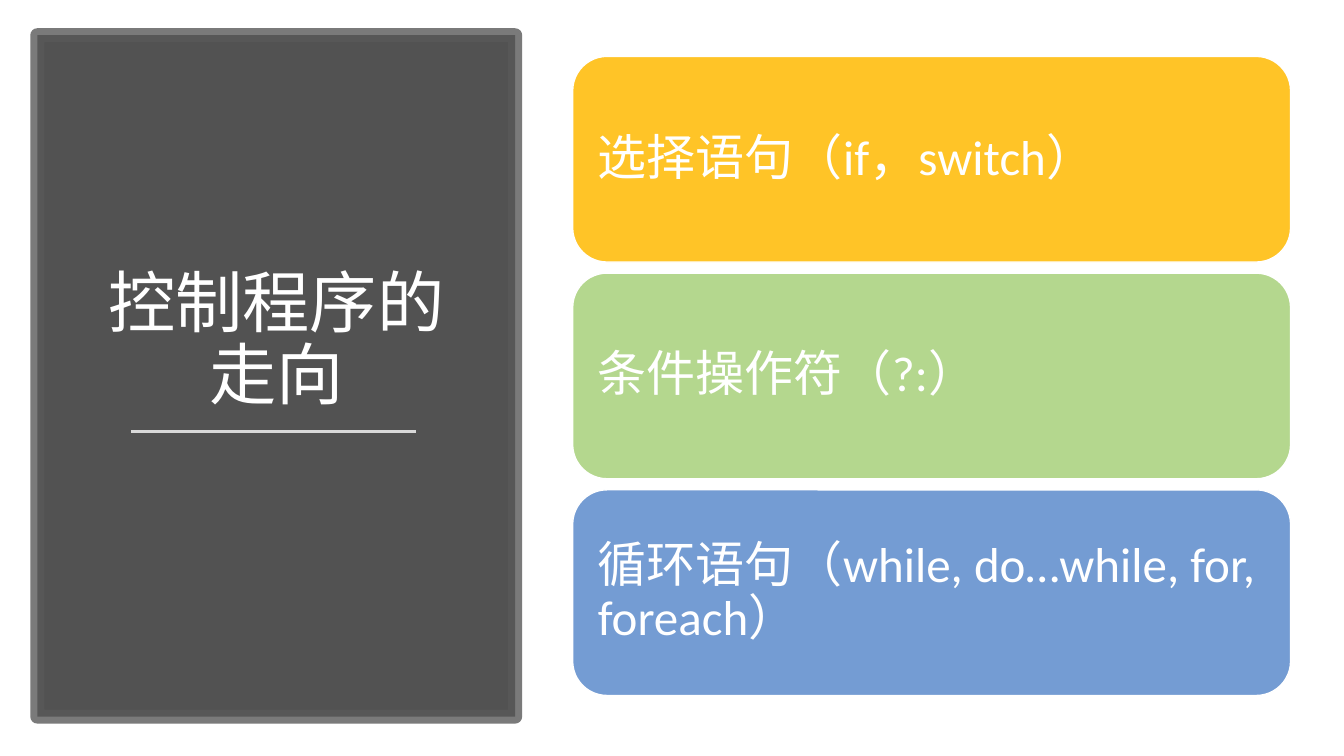
from typing import NamedTuple

from lxml.etree import SubElement
from pptx import Presentation
from pptx.dml.color import RGBColor as RGB
from pptx.enum.shapes import MSO_CONNECTOR as Link, MSO_SHAPE as Form
from pptx.enum.text import MSO_ANCHOR as Anchor, PP_ALIGN as Align
from pptx.oxml.ns import qn
from pptx.util import Emu, Pt

SCALE = 9144  # EMU in one px, 100 px to the inch

WHITE = RGB(0xFF, 0xFF, 0xFF)
DARK = RGB(0x40, 0x40, 0x40)
FRAME = RGB(0x59, 0x59, 0x59)
RULE = RGB(0xD9, 0xD9, 0xD9)
GOLD = RGB(0xFF, 0xC4, 0x27)
GREEN = RGB(0xB4, 0xD7, 0x8E)
BLUE = RGB(0x74, 0x9C, 0xD3)


class Box(NamedTuple):
    left: int
    top: int
    width: int
    height: int


class Card(NamedTuple):
    text: str
    fill: RGB


CARDS = [
    Card("选择语句（if，switch）", GOLD),
    Card("条件操作符（?:）", GREEN),
    Card("循环语句（while, do…while, for, foreach）", BLUE),
]
FIRST = Box(568, 56, 712, 204)
STEP = 215


def px(count: int) -> Emu:
    return Emu(count * SCALE)


def style(target: object, values: dict) -> None:
    for name, value in values.items():
        setattr(target, name, value)


def block(slide, form: Form, box: Box, fill: RGB, edge: RGB, width: int):
    shape = slide.shapes.add_shape(form, *map(px, box))
    shape.shadow.inherit = False
    shape.fill.solid()
    shape.fill.fore_color.rgb = fill
    shape.line.color.rgb = edge
    shape.line.width = Pt(width)
    return shape


def fade(part, share: int) -> None:
    """Set the opacity, in percent, of the colour in a fill or line."""
    color = next(part.iter(qn("a:srgbClr")))
    SubElement(color, qn("a:alpha")).set("val", str(share * 1000))


def write(shape, text: str, frame: dict, para: dict, font: dict) -> None:
    body = shape.text_frame
    style(body, {"word_wrap": True, **frame})
    line = body.paragraphs[0]
    style(line, {"line_spacing": 0.9, **para})
    run = line.add_run()
    run.text = text
    style(run.font, font)
    run.font.color.rgb = WHITE


def panel(slide) -> None:
    # Dark panel with a translucent frame
    back = block(slide, Form.RECTANGLE, Box(37, 35, 474, 676), DARK, FRAME, 10)
    props = back._element.spPr
    fade(props.find(qn("a:solidFill")), 90)
    fade(props.find(qn("a:ln")), 80)

    # Title
    title = slide.shapes.add_textbox(*map(px, Box(74, 100, 400, 316)))
    write(title, "控制程序的走向", {"vertical_anchor": Anchor.BOTTOM},
          {"alignment": Align.CENTER}, {"name": "Quicksand", "size": Pt(48)})

    # Rule under the title
    rule = slide.shapes.add_connector(
        Link.STRAIGHT, px(130), px(428), px(413), px(428))
    rule.line.color.rgb = RULE
    rule.line.width = Pt(1.75)
    SubElement(rule._element.spPr, qn("a:effectLst"))


def cards(slide) -> None:
    sides = ("left", "top", "right", "bottom")
    frame = {f"margin_{side}": px(15) for side in sides}
    frame["vertical_anchor"] = Anchor.MIDDLE
    for row, card in enumerate(CARDS):
        box = FIRST._replace(top=FIRST.top + row * STEP)
        shape = block(slide, Form.ROUNDED_RECTANGLE, box, card.fill, WHITE, 1)
        write(shape, card.text, frame, {"alignment": Align.LEFT},
              {"name": "Calibri", "size": Pt(35)})


def main() -> None:
    deck = Presentation()
    style(deck, {"slide_width": px(1333), "slide_height": px(750)})
    slide = deck.slides.add_slide(deck.slide_layouts[6])
    panel(slide)
    cards(slide)
    deck.save("out.pptx")


if __name__ == "__main__":
    main()
